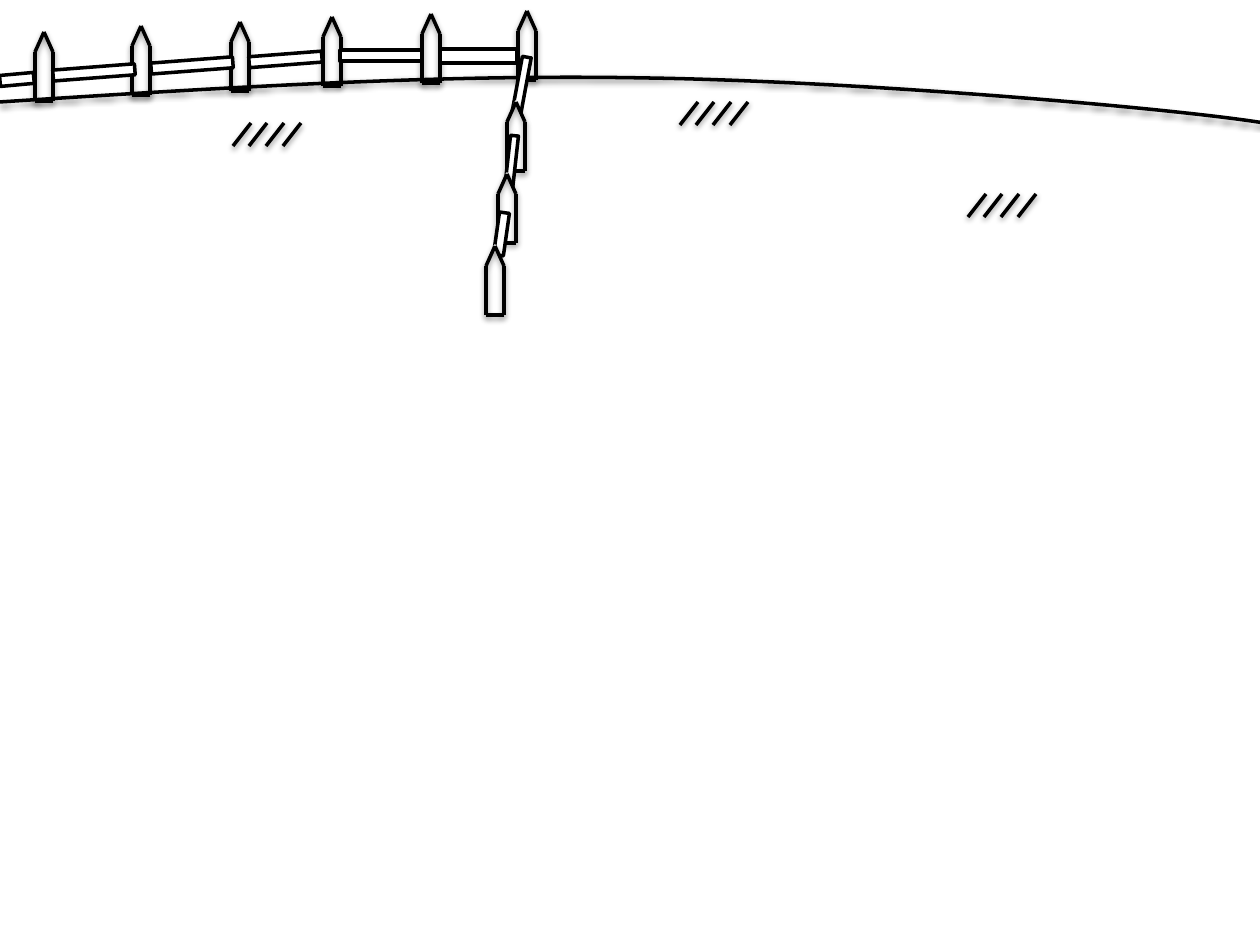
"""Draw a hillside with a picket fence and tufts of grass."""
from dataclasses import dataclass
from itertools import pairwise

from lxml import etree
from pptx import Presentation, util as u
from pptx.dml.color import RGBColor
from pptx.enum import shapes as kinds
from pptx.oxml import parse_xml
from pptx.oxml.ns import nsdecls, qn

EMU_PER_PX = 914400 / 126


@dataclass(frozen=True)
class Theme:
    ink: RGBColor = RGBColor(0, 0, 0)
    paper: RGBColor = RGBColor(255, 255, 255)
    stroke: u.Pt = u.Pt(2)


@dataclass(frozen=True)
class Picket:
    left: int
    top: int
    filled_tip: bool = False


@dataclass(frozen=True)
class Rail:
    left: int
    top: int
    width: int
    height: int
    rotation: float = 0


@dataclass(frozen=True)
class Tuft:
    left: int
    top: int


THEME = Theme()
PICKET_WIDTH, PICKET_HEIGHT, TIP_HEIGHT = 18, 69, 20
TIP_INSET = 2
BLADE_OFFSETS = (0, 16, 33, 50)
BLADE_WIDTH, BLADE_HEIGHT = 18, 23

HILL = [(0, 102), (218, 88), (435, 74), (645, 78), (855, 81), (1171, 108), (1264, 123)]
CORNER_PICKET = Picket(518, 11)
RIDGE_PICKETS = [
    Picket(35, 32), Picket(132, 26), Picket(231, 22), Picket(323, 17), Picket(422, 14),
]
RIDGE_RAILS = [
    Rail(53, 67, 82, 11, -4.4),
    Rail(151, 60, 82, 11, -4.4),
    Rail(249, 54, 73, 11, -4.4),
    Rail(340, 50, 82, 11),
    Rail(440, 49, 77, 14),
    Rail(0, 74, 34, 11, -5.2),
]
SLOPE = [
    (Rail(489, 84, 64, 9, 280.5), Picket(507, 102, True)),
    (Rail(484, 159, 55, 8, 276.3), Picket(498, 174, True)),
    (Rail(480, 229, 43, 10, 278.1), Picket(486, 246, True)),
]
TUFTS = [Tuft(233, 123), Tuft(968, 194), Tuft(680, 102)]


def px(length: float) -> u.Emu:
    """Turn pixels into EMU."""
    return u.Emu(round(length * EMU_PER_PX))


def ink_outline(part) -> None:
    """Give a part the dark stroke and its soft shadow."""
    part.line.color.rgb = THEME.ink
    part.line.width = THEME.stroke
    part._element.spPr.append(parse_xml(
        f'<a:effectLst {nsdecls("a")}><a:outerShdw blurRad="40000" dist="20000" '
        f'dir="5400000" rotWithShape="0"><a:srgbClr val="{THEME.ink}">'
        '<a:alpha val="38000"/></a:srgbClr></a:outerShdw></a:effectLst>'))


def draw_stroke(group, start: tuple[int, int], end: tuple[int, int]) -> None:
    """Draw one shadowed straight line."""
    ink_outline(group.shapes.add_connector(
        kinds.MSO_CONNECTOR.STRAIGHT, *map(px, (*start, *end))))


def draw_solid(shapes, kind, box: tuple[int, ...], edge: RGBColor):
    """Draw a flat paper-coloured shape."""
    solid = shapes.add_shape(kind, *map(px, box))
    solid.shadow.inherit = False
    solid.fill.solid()
    solid.fill.fore_color.rgb = THEME.paper
    solid.line.color.rgb = edge
    solid.line.width = THEME.stroke
    return solid


def draw_picket(shapes, picket: Picket) -> None:
    """Draw a pointed picket as a group of strokes."""
    group = shapes.add_group_shape()
    left, right = picket.left, picket.left + PICKET_WIDTH
    shoulder, foot = picket.top + TIP_HEIGHT, picket.top + PICKET_HEIGHT
    if picket.filled_tip:
        draw_solid(group.shapes, kinds.MSO_SHAPE.ISOSCELES_TRIANGLE,
                   (left + TIP_INSET, picket.top, PICKET_WIDTH - 2 * TIP_INSET, TIP_HEIGHT),
                   THEME.paper)
    outline = [(left, shoulder), (left, foot), (right, foot), (right, shoulder),
               (left + PICKET_WIDTH // 2, picket.top), (left, shoulder)]
    for start, end in pairwise(outline):
        draw_stroke(group, start, end)


def draw_rail(shapes, rail: Rail) -> None:
    """Draw a rail between two pickets."""
    box = (rail.left, rail.top, rail.width, rail.height)
    draw_solid(shapes, kinds.MSO_SHAPE.RECTANGLE, box, THEME.ink).rotation = rail.rotation


def draw_tuft(shapes, tuft: Tuft) -> None:
    """Draw a row of slanted grass blades."""
    group = shapes.add_group_shape()
    for offset in BLADE_OFFSETS:
        root = tuft.left + offset
        draw_stroke(group, (root, tuft.top + BLADE_HEIGHT), (root + BLADE_WIDTH, tuft.top))


def draw_hill(shapes, points: list[tuple[int, int]]) -> None:
    """Draw the hill as a chain of cubic curves."""
    builder = shapes.build_freeform(*points[0], scale=EMU_PER_PX)
    builder.add_line_segments(points[1:], close=False)
    hill = builder.convert_to_shape()
    hill.fill.background()
    ink_outline(hill)
    segments = list(hill._element.iter(qn("a:lnTo")))
    outline = segments[0].getparent()
    for first in range(0, len(segments), 3):
        curve = etree.SubElement(outline, qn("a:cubicBezTo"))
        for segment in segments[first:first + 3]:
            curve.append(segment[0])
            outline.remove(segment)


def main() -> None:
    """Build and save the slide."""
    deck = Presentation()
    deck.slide_width, deck.slide_height = px(1260), px(945)
    shapes = deck.slides.add_slide(deck.slide_layouts[6]).shapes
    draw_picket(shapes, CORNER_PICKET)
    draw_hill(shapes, HILL)
    for picket in RIDGE_PICKETS:
        draw_picket(shapes, picket)
    for rail in RIDGE_RAILS:
        draw_rail(shapes, rail)
    for rail, picket in SLOPE:
        draw_rail(shapes, rail)
        draw_picket(shapes, picket)
    for tuft in TUFTS:
        draw_tuft(shapes, tuft)
    deck.save("out.pptx")


if __name__ == "__main__":
    main()
